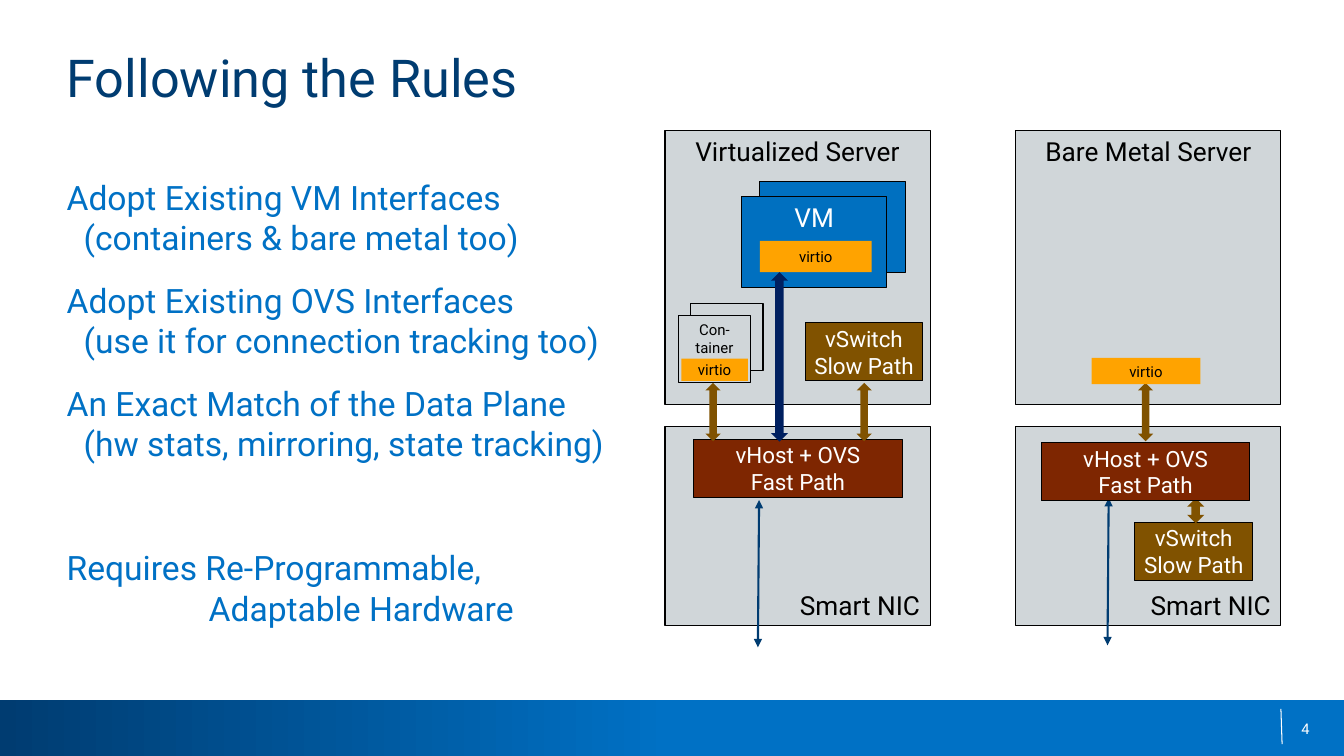
from pptx import Presentation as Deck
from pptx.dml.color import RGBColor as Color
from pptx.enum.shapes import MSO_CONNECTOR as Wire, MSO_SHAPE as Shape
from pptx.enum.text import MSO_ANCHOR as Anchor, PP_ALIGN as Align
from pptx.oxml.ns import qn
from pptx.util import Cm, Pt
from lxml.etree import SubElement as Sub

HUES = {
    "navy": "003C71", "blue": "0071C5", "white": "FFFFFF", "black": "000000",
    "gray": "D0D6D9", "azure": "0070C0", "amber": "FFA300", "brown": "805200",
    "rust": "7E2601", "ink": "002060",
}


def hue(name):
    return Color.from_string(HUES[name])


def write(frame, text, size=18.7, color="black", align=Align.LEFT,
          anchor=Anchor.TOP, inset=(0, 0), before=0, hangs=()):
    frame.word_wrap = True
    frame.vertical_anchor = anchor
    frame.margin_left = frame.margin_right = Cm(inset[0])
    frame.margin_top = frame.margin_bottom = Cm(inset[1])
    for i, part in enumerate(text.split("\n")):
        para = frame.paragraphs[0] if i == 0 else frame.add_paragraph()
        para.alignment = align
        if i:
            para.space_before = Pt(before)
        if hangs:
            props = para._p.get_or_add_pPr()
            props.set("marL", str(Cm(hangs[i])))
            props.set("indent", str(-Cm(hangs[i])))
        para.text = part
        for run in para.runs:
            run.font.name = "Roboto"
            run.font.size = Pt(size)
            run.font.color.rgb = hue(color)


class Page:
    def __init__(self, slide):
        self.slide = slide
        self.shapes = slide.shapes

    def group(self):
        self.shapes = self.slide.shapes.add_group_shape().shapes

    def label(self, text, x, y, w, h, **form):
        box = self.shapes.add_textbox(Cm(x), Cm(y), Cm(w), Cm(h))
        write(box.text_frame, text, **form)
        return box

    def block(self, fill, x, y, w, h, text="", edge=True, kind=Shape.RECTANGLE, **form):
        box = self.shapes.add_shape(kind, Cm(x), Cm(y), Cm(w), Cm(h))
        box.shadow.inherit = False
        box.fill.solid()
        box.fill.fore_color.rgb = hue(fill)
        if edge:
            box.line.color.rgb = hue("black")
            box.line.width = Pt(0.75)
        else:
            box.line.fill.background()
        if text:
            write(box.text_frame, text, **{"align": Align.CENTER, "inset": (0.25, 0.13), **form})
        return box

    def arrow(self, x, y, w=0.38, h=1.47, fill="brown"):
        self.block(fill, x, y, w, h, edge=False, kind=Shape.UP_DOWN_ARROW)

    def line(self, x, y, end_x, end_y, color, width, tips=False):
        wire = self.shapes.add_connector(Wire.STRAIGHT, Cm(x), Cm(y), Cm(end_x), Cm(end_y))
        wire.line.color.rgb = hue(color)
        wire.line.width = Pt(width)
        if tips:
            for tag in ("a:headEnd", "a:tailEnd"):
                Sub(wire.line._get_or_add_ln(), qn(tag), type="triangle")
        Sub(wire._element.spPr, qn("a:effectLst"))

    def footer(self, number):
        bar = self.block("blue", 0, 17.63, 33.87, 1.42, edge=False)
        bar.fill.gradient()
        bar.fill.gradient_angle = 0
        for stop, name, place in zip(bar.fill.gradient_stops, ("navy", "blue"), (0, 0.5)):
            stop.color.rgb = hue(name)
            stop.position = place
        self.line(32.28, 17.86, 32.31, 18.75, "white", 0.75)
        self.label(number, 32.28, 17.86, 1.24, 1.02, size=10.5, color="white",
                   align=Align.CENTER, anchor=Anchor.MIDDLE)

    def server(self, title, x):
        self.group()
        self.block("gray", x, 3.28, 6.68, 6.91, title)
        self.block("gray", x, 10.74, 6.68, 5.03, "Smart NIC",
                   align=Align.RIGHT, anchor=Anchor.BOTTOM)

    def stack(self, fill, x, y, w, h, step, text, **form):
        self.block(fill, x + step[0], y - step[1], w, h)
        self.block(fill, x, y, w, h, text, **form)

    def virtio(self, x, y, w, h):
        self.block("amber", x, y, w, h, "virtio", edge=False, size=10.7, anchor=Anchor.MIDDLE)

    def route(self, fill, x, y, w, text):
        self.block(fill, x, y, w, 1.47, text, size=16, color="white",
                   anchor=Anchor.MIDDLE, inset=(0, 0.13))

    def switch(self, x, y):
        self.route("brown", x, y, 2.97, "vSwitch\nSlow Path")

    def host(self, x, y):
        self.route("rust", x, y, 5.26, "vHost + OVS\nFast Path")

    def uplink(self, x, y):
        self.line(x, y, x - 0.03, y + 3.71, "navy", 1.5, tips=True)


def main():
    deck = Deck()
    deck.slide_width, deck.slide_height = Cm(33.87), Cm(19.05)
    page = Page(deck.slides.add_slide(deck.slide_layouts[6]))

    page.footer("4")
    page.label("Following the Rules", 1.68, 1.14, 30.48, 3.23, size=37.3, color="navy")
    rules = page.label(
        "Adopt Existing VM Interfaces\v(containers & bare metal too)\n"
        "Adopt Existing OVS Interfaces\v(use it for connection tracking too)\n"
        "An Exact Match of the Data Plane\v(hw stats, mirroring, state tracking)\n"
        "Requires Re-Programmable,\vAdaptable Hardware",
        1.68, 4.45, 30.48, 12.7, size=24, color="blue", before=16,
        hangs=(0.43, 0.43, 0.43, 3.58))
    rules.text_frame.paragraphs[-1].space_before = Pt(60)

    page.server("Virtualized Server", 16.76)
    page.stack("azure", 18.69, 4.95, 3.66, 2.29, (0.46, 0.38), "VM", color="white")
    page.virtio(19.15, 6.07, 2.82, 0.79)
    page.switch(20.29, 8.13)
    page.host(17.48, 11.07)
    page.arrow(19.43, 6.86, 0.43, 4.27, "ink")
    page.arrow(21.59, 9.65)
    page.uplink(19.13, 12.6)
    page.stack("gray", 17.09, 7.95, 1.83, 1.7, (0.31, 0.3), "Con-\ntainer", size=10.7)
    page.virtio(17.17, 9.04, 1.68, 0.56)
    page.arrow(17.78, 9.65)

    page.server("Bare Metal Server", 25.6)
    page.switch(28.6, 13.16)
    page.arrow(29.92, 12.55, 0.43, 0.64)
    page.uplink(27.94, 12.55)
    page.host(26.24, 11.15)
    page.arrow(28.68, 9.65)
    page.virtio(27.51, 9.02, 2.74, 0.66)

    deck.save("out.pptx")


if __name__ == "__main__":
    main()
